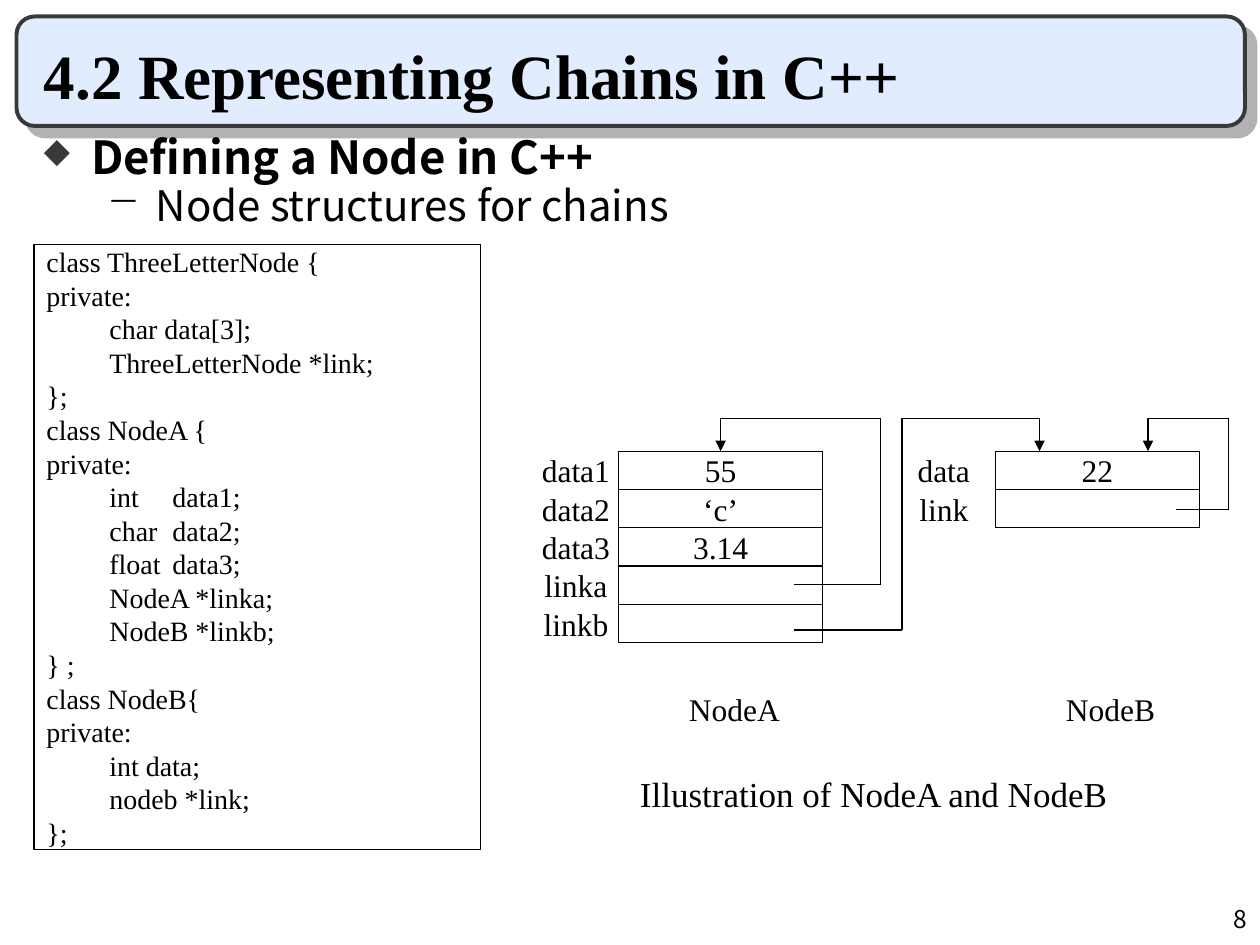
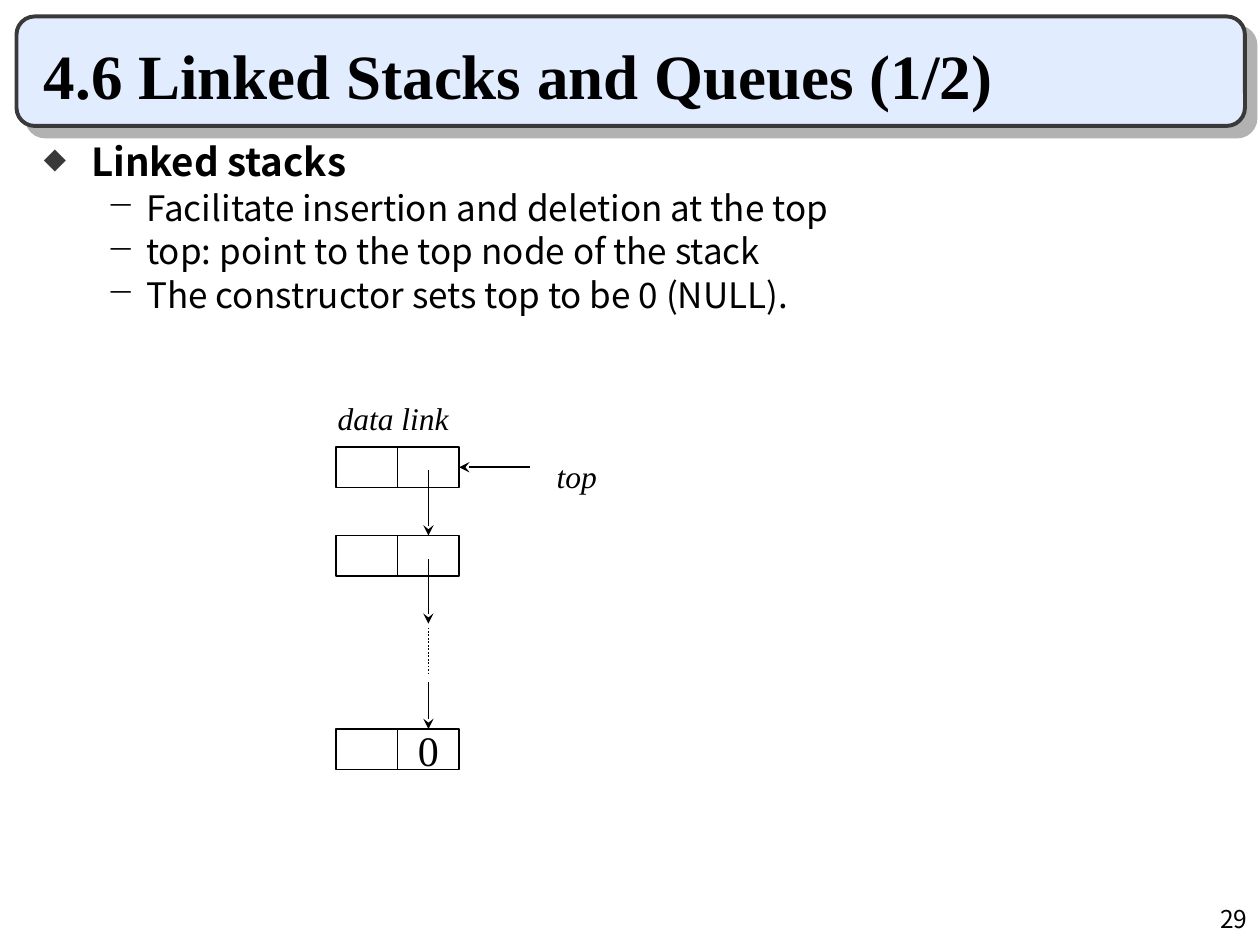
from lxml import etree
from pptx import Presentation
from pptx import util as u
from pptx.dml.color import RGBColor
from pptx.enum import dml, shapes, text
from pptx.oxml.ns import qn

Pt = u.Pt
SERIF, SANS = "Times New Roman", "Noto Sans CJK KR"
BLACK, WHITE, DARK, BAND, SHADE = "000000", "FFFFFF", "393939", "E1ECFF", "B2B2B2"
LEFT, CENTER, RIGHT = text.PP_ALIGN.LEFT, text.PP_ALIGN.CENTER, text.PP_ALIGN.RIGHT
TOP, MIDDLE, BOTTOM = (text.MSO_ANCHOR.TOP, text.MSO_ANCHOR.MIDDLE,
                       text.MSO_ANCHOR.BOTTOM)

CODE = """class ThreeLetterNode {
private:
\tchar data[3];
\tThreeLetterNode *link;
};
class NodeA {
private:
\tint\tdata1;
\tchar\tdata2;
\tfloat\tdata3;
\tNodeA *linka;
\tNodeB *linkb;
} ;
class NodeB{
private:
\tint data;
\tnodeb *link;
};"""


def color(value):
    return RGBColor.from_string(value)


def add_xml(parent, tag, **attributes):
    return etree.SubElement(parent, qn(tag), attributes)


class Sketch:
    """Holds the deck, the slide being drawn and the shared look."""

    def __init__(self):
        self.deck = Presentation()
        self.deck.slide_width, self.deck.slide_height = Pt(720), Pt(540)
        self.page = None
        self.line_width = 0.75

    def new_page(self, title, number, line_width):
        self.page = self.deck.slides.add_slide(self.deck.slide_layouts[6])
        self.line_width = line_width
        band = self.shape(9.4, 9.4, 702, 62.6, BAND, DARK, 2.25,
                          shapes.MSO_SHAPE.ROUNDED_RECTANGLE)
        effects = band._element.spPr.find(qn("a:effectLst"))
        shadow = add_xml(effects, "a:outerShdw", blurRad="0", dist=str(Pt(8.5)),
                         dir="2700000", algn="ctr", rotWithShape="0")
        add_xml(shadow, "a:srgbClr", val=SHADE)
        self.label(title, 18, 18, 678, 49.5, 36, bold=True, anchor=BOTTOM, wrap=True)
        self.label(number, 570, 513, 150, 24, 14, font=SANS, align=RIGHT, wrap=True)

    def put_text(self, shape, words, size, font=SERIF, align=LEFT, anchor=TOP,
                 bold=False, italic=False, wrap=False):
        frame = shape.text_frame
        frame.text = words
        frame.word_wrap = wrap
        frame.vertical_anchor = anchor
        for para in frame.paragraphs:
            para.alignment = align
            for span in para.runs:
                self.style(span, size, font, bold, italic)
        return shape

    def style(self, span, size, font, bold=False, italic=False):
        span.font.name, span.font.size = font, Pt(size)
        span.font.bold, span.font.italic = bold, italic
        span.font.color.rgb = color(BLACK)

    def label(self, words, left, top, width, height, size=18, **look):
        box = self.page.shapes.add_textbox(Pt(left), Pt(top), Pt(width), Pt(height))
        return self.put_text(box, words, size, **look)

    def shape(self, left, top, width, height, fill=None, line=BLACK,
              line_width=None, kind=shapes.MSO_SHAPE.RECTANGLE):
        box = self.page.shapes.add_shape(kind, Pt(left), Pt(top), Pt(width), Pt(height))
        box.shadow.inherit = False
        if fill:
            box.fill.solid()
            box.fill.fore_color.rgb = color(fill)
        else:
            box.fill.background()
        box.line.color.rgb = color(line)
        box.line.width = Pt(line_width or self.line_width)
        return box

    def outline(self, items, top, spacing):
        """Items are (level, words, size, space before, extra indent)."""
        box = self.page.shapes.add_textbox(Pt(18), Pt(top), Pt(678), Pt(100))
        frame = box.text_frame
        frame.word_wrap = True
        frame.text = "\n".join(item[1] for item in items)
        for para, (level, _, size, before, extra) in zip(frame.paragraphs, items):
            para.line_spacing = spacing
            para.space_before = Pt(before)
            margin, hang, mark, tint, scale = (
                (58.5, 22.5, "−", BLACK, "100000") if level
                else (27, 27, "◆", DARK, "75000"))
            properties = para._p.get_or_add_pPr()
            properties.set("lvl", str(level))
            properties.set("marL", str(Pt(margin + extra)))
            properties.set("indent", str(Pt(-hang - extra)))
            add_xml(add_xml(properties, "a:buClr"), "a:srgbClr", val=tint)
            add_xml(properties, "a:buSzPct", val=scale)
            add_xml(properties, "a:buChar", char=mark)
            for span in para.runs:
                self.style(span, size, SANS, bold=level == 0)

    def connector(self, start, end, arrow=None, dotted=False, into=None):
        """Draw one line; into is the (shape, side) that its end joins."""
        line = self.page.shapes.add_connector(
            shapes.MSO_CONNECTOR.STRAIGHT, *map(Pt, start), *map(Pt, end))
        line.line.color.rgb = color(BLACK)
        line.line.width = Pt(self.line_width)
        if dotted:
            line.line.dash_style = dml.MSO_LINE.ROUND_DOT
        if into:
            line.end_connect(*into)
        properties = line._element.spPr
        if arrow:
            add_xml(properties.find(qn("a:ln")), "a:tailEnd", type=arrow)
        add_xml(properties, "a:effectLst")

    def route(self, points, into=None):
        """Draw an angled path whose last leg carries the arrowhead."""
        legs = list(zip(points, points[1:]))
        for start, end in legs[:-1]:
            self.connector(start, end)
        self.connector(*legs[-1], arrow="triangle", into=into)

    def node(self, left, label_left, fields):
        """Stack labelled cells and return the top one."""
        top, row = 257.8, 21.9
        cells = []
        for index, (name, value) in enumerate(fields):
            y = top + index * row
            cell = self.shape(left, y, 116.6, row, WHITE)
            if value:
                self.put_text(cell, value, 18, align=CENTER, anchor=MIDDLE)
            self.label(name, label_left, y, 70.6, row, align=CENTER, anchor=MIDDLE)
            cells.append(cell)
        return cells[0]


def draw_chain_nodes(sketch):
    sketch.new_page("4.2 Representing Chains in C++", "8", 0.75)
    sketch.outline([(0, "Defining a Node in C++", 26, 0, 0),
                    (1, "Node structures for chains", 24, 6, 5.4)], 78, 0.72)

    node_a = sketch.node(353.5, 293.8, [("data1", "55"), ("data2", "‘c’"),
                                        ("data3", "3.14"), ("linka", ""), ("linkb", "")])
    sketch.node(568.8, 504, [("data", "22"), ("link", "")])

    loop_y, top = 239, 257.8
    sketch.route([(453.6, 334), (503.3, 334), (503.3, loop_y),
                  (411.8, loop_y), (411.8, top)], into=(node_a, 0))
    sketch.route([(453.6, 360), (515.5, 360), (515.5, loop_y),
                  (594, loop_y), (594, top)])
    sketch.route([(671.8, 291.3), (702, 291.3), (702, loop_y),
                  (656, loop_y), (656, top)])

    sketch.label("NodeA", 386.6, 391, 66.2, 29)
    sketch.label("NodeB", 602, 391, 65.5, 29)
    sketch.label("Illustration of NodeA and NodeB", 358.6, 437.8, 282, 31.7, 20)
    code = sketch.shape(19.5, 139.7, 255, 345.6, WHITE)
    sketch.put_text(code, CODE, 16, anchor=MIDDLE, wrap=True)


def draw_linked_stack(sketch):
    sketch.new_page("4.6 Linked Stacks and Queues (1/2)", "29", 1)
    points = ["Facilitate insertion and deletion at the top",
              "top: point to the top node of the stack",
              "The constructor sets top to be 0 (NULL)."]
    sketch.outline([(0, "Linked stacks", 22, 0, 0)]
                   + [(1, point, 20, 5, 0) for point in points], 80, 0.83)

    sketch.label("data link", 185.8, 224.6, 77.8, 29, italic=True)
    left, width, height = 192, 35.2, 23.2
    middle = left + 1.5 * width
    tops = [255.4, 306, 416.6]
    links = []
    for top in tops:
        sketch.shape(left, top, width, height)
        links.append(sketch.shape(left + width, top, width, height))
    first, second, last = links
    sketch.put_text(last, "0", 24, align=CENTER, anchor=MIDDLE)

    sketch.connector((middle, 268.6), (middle, tops[1]), "stealth", into=(second, 0))
    sketch.connector((middle, 319.7), (middle, 356.4), "stealth")
    sketch.connector((middle, 358.6), (middle, 386), dotted=True)
    sketch.connector((middle, 389.5), (middle, tops[2]), "stealth", into=(last, 0))
    center = tops[0] + height / 2
    sketch.connector((303, center), (left + 2 * width, center), "stealth",
                     into=(first, 3))
    sketch.label("top", 311, 257.8, 37.4, 29, italic=True)


def main():
    sketch = Sketch()
    draw_chain_nodes(sketch)
    draw_linked_stack(sketch)
    sketch.deck.save("out.pptx")


if __name__ == "__main__":
    main()
